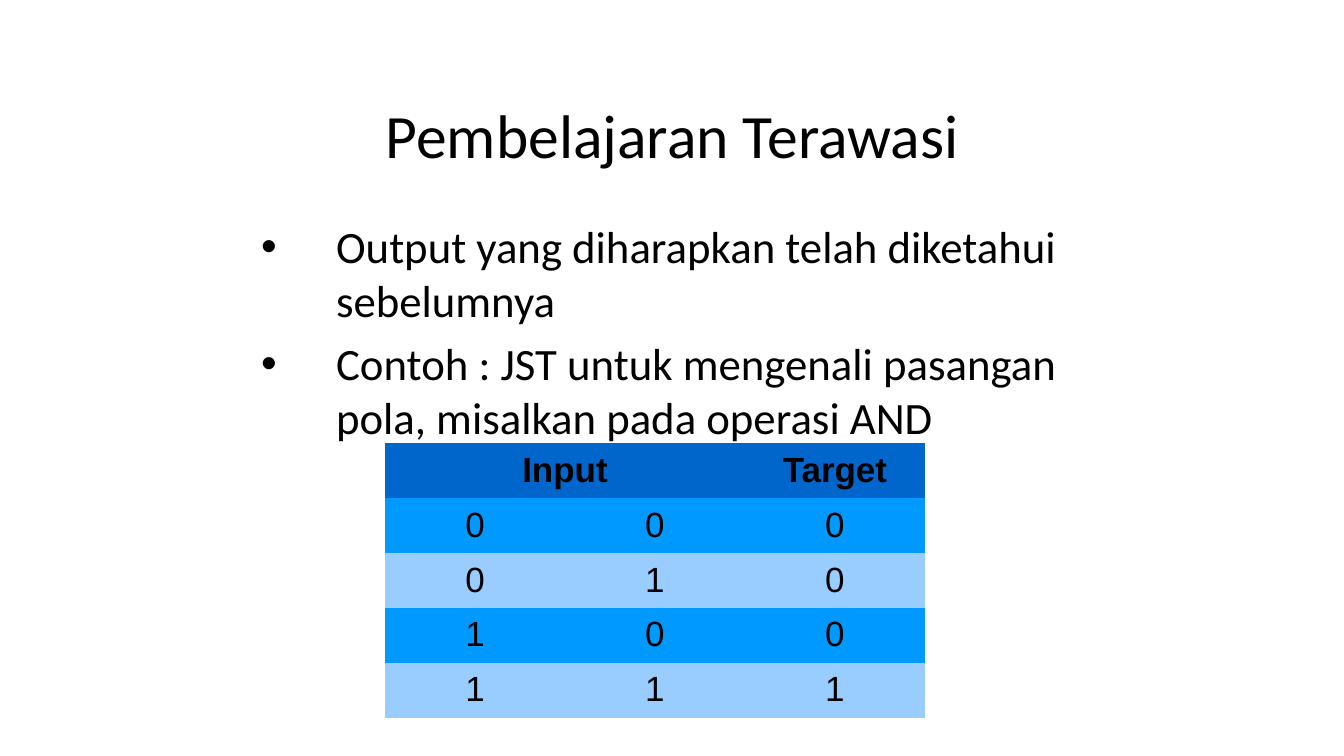
from dataclasses import dataclass

from lxml.etree import SubElement
from pptx import Presentation
from pptx.dml.color import RGBColor
from pptx.enum.text import MSO_ANCHOR, MSO_AUTO_SIZE, PP_ALIGN
from pptx.oxml.ns import qn
from pptx.util import Emu, Pt

EMU_PER_PX = 914400 / 100.8
COLORS = {
    "text": "000000",
    "border": "FFFFFF",
    "header": "0066CC",
    "odd": "0099FF",
    "even": "99CCFF",
}
BULLETS = [
    "Output yang diharapkan telah diketahui sebelumnya",
    "Contoh : JST untuk mengenali pasangan pola, misalkan pada operasi AND",
]
COLUMN_WIDTH, ROW_HEIGHT = 180, 55
BORDER_WIDTH = Pt(0.03)


@dataclass(frozen=True)
class Box:
    left: int
    top: int
    width: int
    height: int


@dataclass(frozen=True)
class TableRow:
    texts: tuple[str, ...]
    fill: str
    bold: bool = False


TITLE_BOX = Box(242, 76, 861, 115)
BODY_BOX = Box(250, 214, 842, 469)
TRUTH_TABLE = [TableRow(("Input", "", "Target"), "header", True)] + [
    TableRow((str(a), str(b), str(a & b)), "even" if b else "odd")
    for a in (0, 1)
    for b in (0, 1)
]


def px(n: int) -> Emu:
    return Emu(round(n * EMU_PER_PX))


def color(name: str) -> RGBColor:
    return RGBColor.from_string(COLORS[name])


def add_run(p, text: str, size: int, font: str, bold: bool = False) -> None:
    r = p.add_run()
    r.text = text
    r.font.size = Pt(size)
    r.font.name = font
    r.font.bold = bold
    r.font.color.rgb = color("text")


def place(sp, box: Box, anchor: MSO_ANCHOR):
    """Move a placeholder, fix its text layout and return its text frame."""
    sp.left, sp.top = px(box.left), px(box.top)
    sp.width, sp.height = px(box.width), px(box.height)
    tf = sp.text_frame
    tf.word_wrap = True
    tf.auto_size = MSO_AUTO_SIZE.NONE
    tf.vertical_anchor = anchor
    return tf


def add_bullets(tf, texts: list[str]) -> None:
    for i, text in enumerate(texts):
        p = tf.add_paragraph() if i else tf.paragraphs[0]
        p.space_before = Pt(6.4)
        pPr = p._p.get_or_add_pPr()
        pPr.set("marL", str(px(76)))
        pPr.set("indent", str(-px(75)))
        SubElement(pPr, qn("a:buFont"), typeface="Arial")
        SubElement(pPr, qn("a:buChar"), char="•")
        add_run(p, text, 32, "Calibri")


def set_borders(cell) -> None:
    tcPr = cell._tc.get_or_add_tcPr()
    for i, side in enumerate(("lnL", "lnR", "lnT", "lnB")):
        ln = SubElement(tcPr, qn(f"a:{side}"), w=str(BORDER_WIDTH))
        fill = SubElement(ln, qn("a:solidFill"))
        SubElement(fill, qn("a:srgbClr"), val=COLORS["border"])
        tcPr.insert(i, ln)


def fill_cell(cell, text: str, row: TableRow) -> None:
    cell.fill.solid()
    cell.fill.fore_color.rgb = color(row.fill)
    set_borders(cell)
    cell.margin_left = cell.margin_right = px(9)
    cell.margin_top, cell.margin_bottom = px(12), px(5)
    p = cell.text_frame.paragraphs[0]
    p.alignment = PP_ALIGN.CENTER
    p.line_spacing = 0.87
    if text:
        add_run(p, text, 25, "Arial", row.bold)


def add_truth_table(s, left: int, top: int, rows: list[TableRow]) -> None:
    n_cols = len(rows[0].texts)
    table = s.shapes.add_table(
        len(rows), n_cols, px(left), px(top),
        px(n_cols * COLUMN_WIDTH), px(len(rows) * ROW_HEIGHT),
    ).table
    for i, row in enumerate(rows):
        for j, text in enumerate(row.texts):
            fill_cell(table.cell(i, j), text, row)
    table.cell(0, 0).merge(table.cell(0, 1))


def main() -> None:
    prs = Presentation()
    prs.slide_width, prs.slide_height = px(1344), px(756)
    s = prs.slides.add_slide(prs.slide_layouts[1])
    title, body = s.placeholders

    p = place(title, TITLE_BOX, MSO_ANCHOR.MIDDLE).paragraphs[0]
    p.alignment = PP_ALIGN.CENTER
    add_run(p, "Pembelajaran Terawasi", 44, "Calibri")

    add_bullets(place(body, BODY_BOX, MSO_ANCHOR.TOP), BULLETS)
    add_truth_table(s, 385, 443, TRUTH_TABLE)
    prs.save("out.pptx")


if __name__ == "__main__":
    main()
